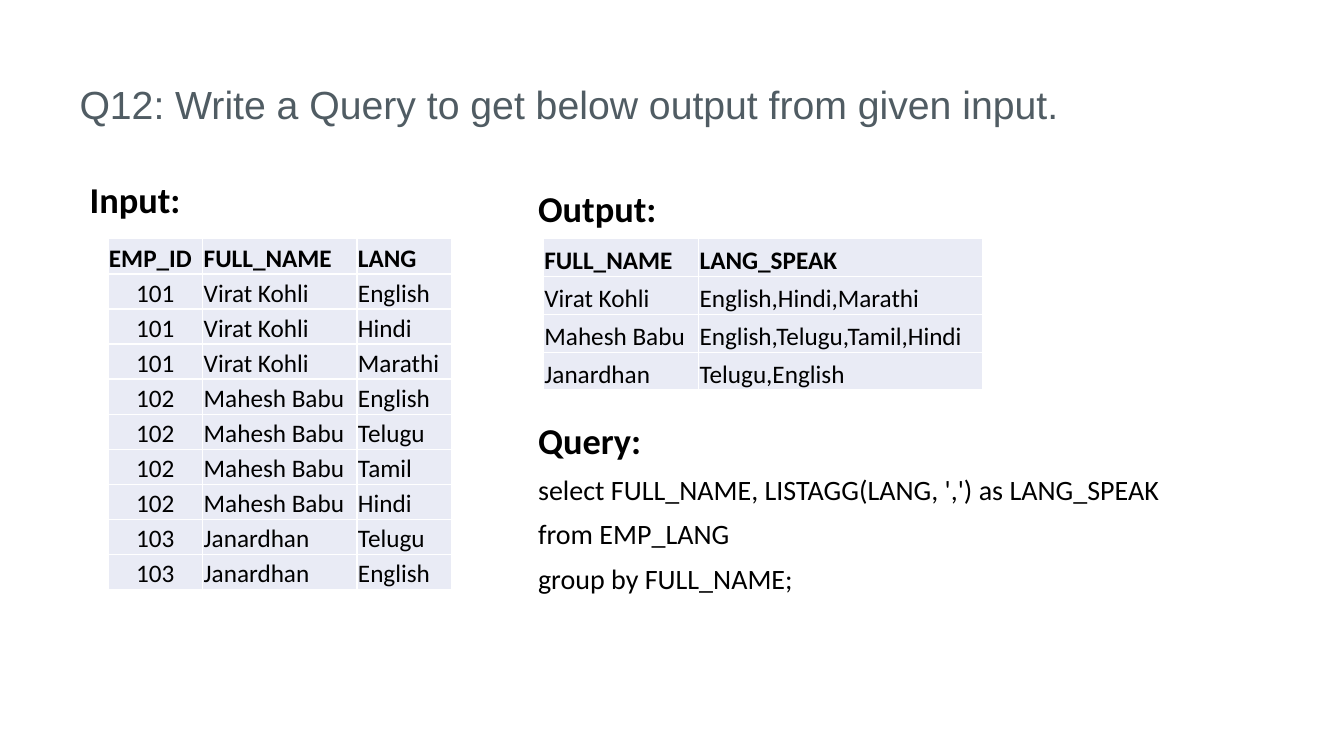
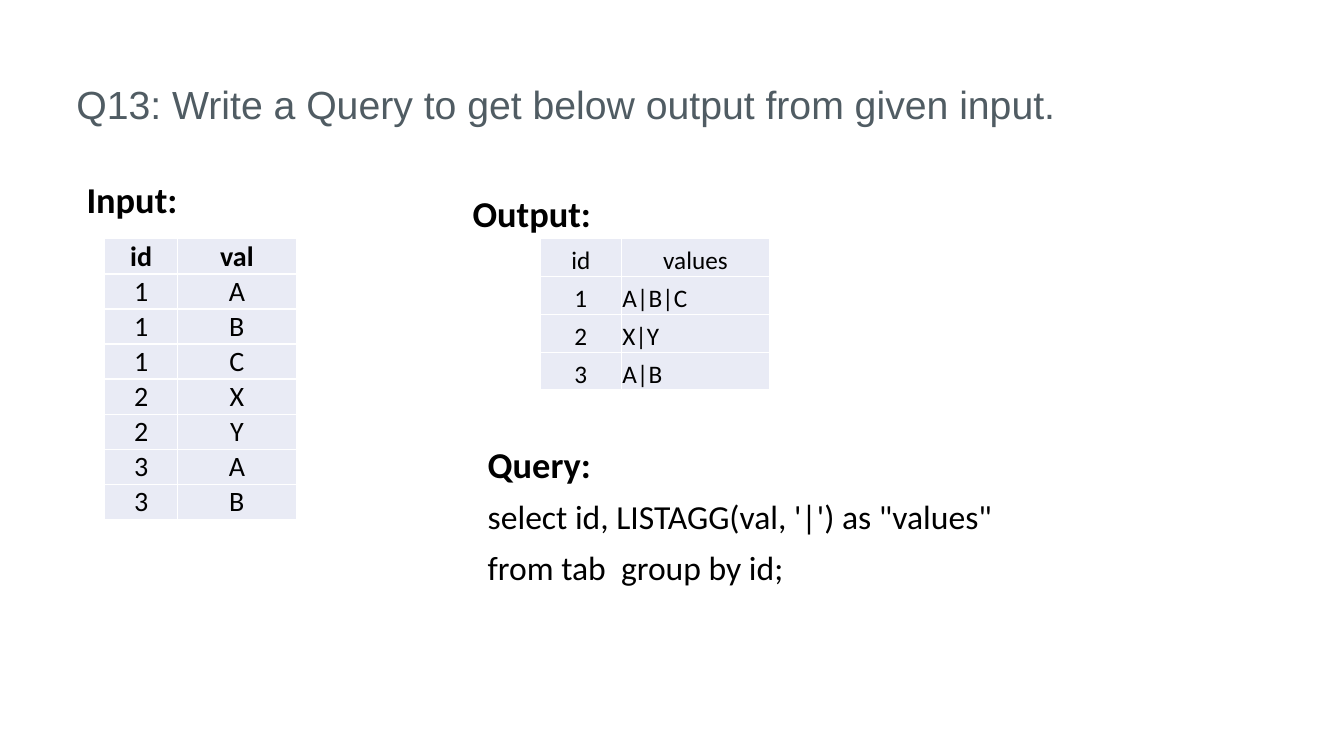
from lxml import etree
from pptx import Presentation
from pptx.dml.color import RGBColor
from pptx.enum.text import MSO_ANCHOR, PP_ALIGN
from pptx.oxml.ns import qn
from pptx.util import Inches, Pt

WIDE, HIGH = Inches(13.33), Inches(7.5)
TOP, MID, LOW = MSO_ANCHOR.TOP, MSO_ANCHOR.MIDDLE, MSO_ANCHOR.BOTTOM
ALIGN = {"l": PP_ALIGN.LEFT, "c": PP_ALIGN.CENTER}
INK, SLATE, PALE, WHITE = "000000", "505C63", "E9EBF5", "FFFFFF"
HEAD, BODY = "Arial", "Calibri"
HEAD_SIZE, LABEL_SIZE = 28, 26
TABLE_TOP, IN_ROW, OUT_ROW = 31.6, 4.64, 5


def color(code):
    """Turn a hex string into a colour."""
    return RGBColor.from_string(code)


def across(share):
    """Return a percentage of the slide's width."""
    return round(WIDE * share / 100)


def down(share):
    """Return a percentage of the slide's height."""
    return round(HIGH * share / 100)


def style(par, size, bold=False, face=BODY, ink=INK):
    """Format every run of a paragraph."""
    for run in par.runs:
        run.font.size = Pt(size)
        run.font.bold = bold
        run.font.name = face
        run.font.color.rgb = color(ink)


def add_box(slide, area, lines, anchor=TOP):
    """Add a text box and return its paragraphs."""
    left, top, width, height = area
    box = slide.shapes.add_textbox(
        across(left), down(top), across(width), down(height))
    frame = box.text_frame
    frame.word_wrap = True
    frame.vertical_anchor = anchor
    frame.text = "\n".join(lines)
    for par in frame.paragraphs:
        par.line_spacing = 0.9
    return frame.paragraphs


def add_title(slide, left, text):
    """Add the slide's title."""
    par, = add_box(slide, (left, 8.13, 82.13, 11.87), [text], MID)
    style(par, HEAD_SIZE, face=HEAD, ink=SLATE)


def add_block(slide, area, label, lines=(), size=20):
    """Add a bold label with plain lines below it."""
    pars = add_box(slide, area, [label, *lines])
    for par in pars:
        par.space_before = Pt(10)
        style(par, size)
    style(pars[0], LABEL_SIZE, bold=True)


def add_rules(cell):
    """Draw thin white lines on all sides of a cell."""
    props = cell._tc.get_or_add_tcPr()
    for side in ("a:lnL", "a:lnR", "a:lnT", "a:lnB"):
        line = etree.SubElement(props, qn(side), w=str(Pt(1)))
        fill = etree.SubElement(line, qn("a:solidFill"))
        etree.SubElement(fill, qn("a:srgbClr"), val=WHITE)


def fill_cell(cell, text, align, size, bold):
    """Write and format one table cell."""
    add_rules(cell)
    cell.fill.solid()
    cell.fill.fore_color.rgb = color(PALE)
    cell.margin_left = cell.margin_right = cell.margin_top = Pt(0.75)
    cell.margin_bottom = 0
    cell.vertical_anchor = LOW
    cell.text_frame.text = text
    par = cell.text_frame.paragraphs[0]
    par.alignment = ALIGN[align]
    style(par, size, bold)


def add_grid(slide, left, cols, row, data, aligns, size=18, bold=True):
    """Add a table, with alignments for its head and its body."""
    frame = slide.shapes.add_table(
        len(data), len(cols), across(left), down(TABLE_TOP),
        across(sum(cols)), down(row * len(data)))
    table = frame.table
    table.first_row = table.horz_banding = False
    for col, width in zip(table.columns, cols):
        col.width = across(width)
    for r, texts in enumerate(data):
        table.rows[r].height = down(row)
        for c, text in enumerate(texts):
            align = aligns[min(r, 1)][c]
            fill_cell(table.cell(r, c), text, align, size, bold and r == 0)


def add_names(slide):
    """Build the question about the languages people speak."""
    people = [("101", "Virat Kohli", "English,Hindi,Marathi"),
              ("102", "Mahesh Babu", "English,Telugu,Tamil,Hindi"),
              ("103", "Janardhan", "Telugu,English")]
    given = [("EMP_ID", "FULL_NAME", "LANG")]
    given += [(key, name, lang) for key, name, langs in people
              for lang in langs.split(",")]
    wanted = [("FULL_NAME", "LANG_SPEAK")]
    wanted += [(name, langs) for key, name, langs in people]
    add_title(slide, 5.18,
              "Q12: Write a Query to get below output from given input.")
    add_block(slide, (5.93, 23.47, 28.73, 58.53), "Input:")
    add_grid(slide, 8.03, (7.05, 11.48, 7.05), IN_ROW, given, ("lll", "cll"))
    add_block(slide, (39.3, 24.67, 33.83, 26.93), "Output:")
    add_grid(slide, 40.43, (11.55, 21.15), OUT_ROW, wanted, ("ll", "ll"))
    add_block(slide, (39.3, 55.33, 49.5, 26.93), "Query:",
              ["select FULL_NAME, LISTAGG(LANG, ',') as LANG_SPEAK",
               "from EMP_LANG", "group by FULL_NAME;"])


def add_values(slide):
    """Build the question about the values of each id."""
    groups = [("1", "A|B|C"), ("2", "X|Y"), ("3", "A|B")]
    given = [("id", "val")]
    given += [(key, val) for key, vals in groups for val in vals.split("|")]
    wanted = [("id", "values"), *groups]
    add_title(slide, 4.95,
              "Q13: Write a Query to get below output from given input.")
    add_block(slide, (5.7, 23.47, 28.73, 58.53), "Input:")
    add_grid(slide, 7.8, (5.4, 8.85), IN_ROW, given, ("cc", "cc"), size=20)
    add_block(slide, (34.43, 25.33, 33.83, 26.93), "Output:")
    add_grid(slide, 40.2, (6.03, 11.03), OUT_ROW, wanted, ("cc", "cl"),
             bold=False)
    add_block(slide, (35.55, 58.53, 49.35, 28), "Query:",
              ["select id, LISTAGG(val, '|') as \"values\"",
               "from tab  group by id;"], size=24)


def main():
    """Build and save the deck."""
    deck = Presentation()
    deck.slide_width, deck.slide_height = WIDE, HIGH
    blank = deck.slide_layouts[6]
    for build in (add_names, add_values):
        build(deck.slides.add_slide(blank))
    deck.save("out.pptx")


if __name__ == "__main__":
    main()
